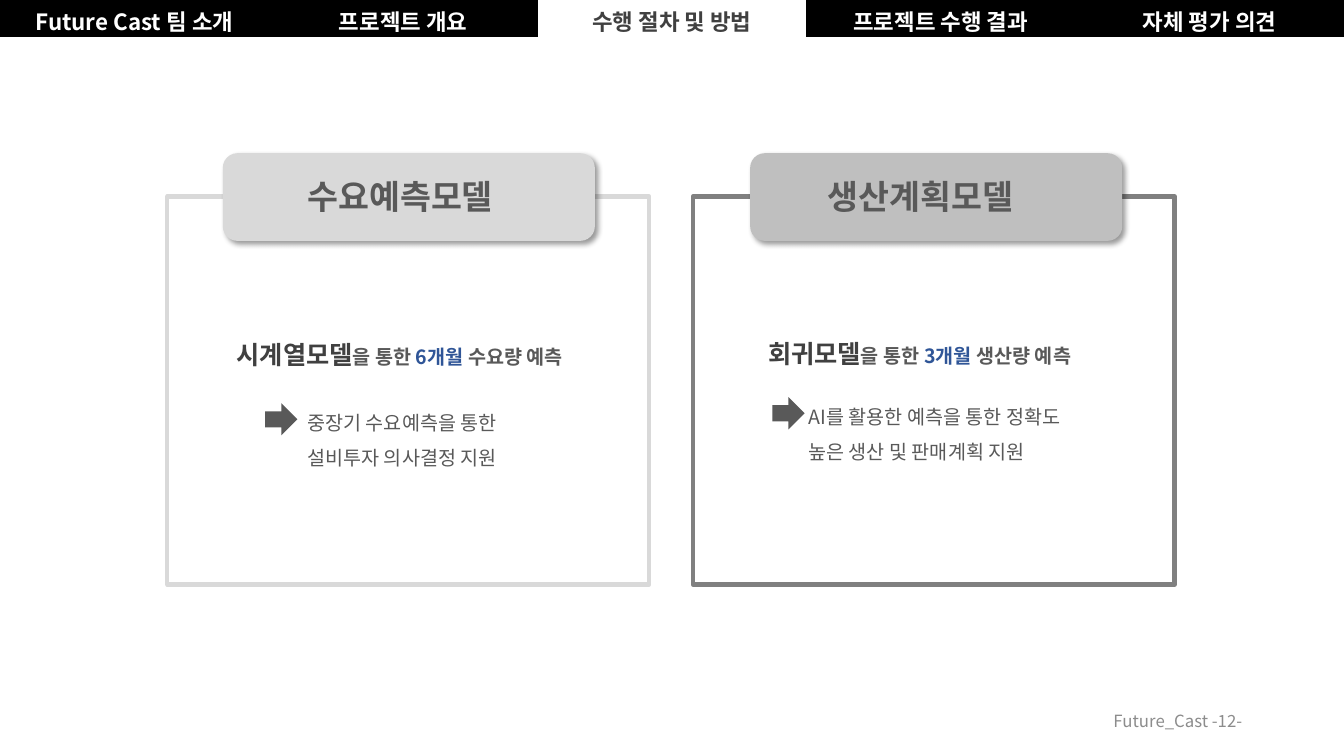
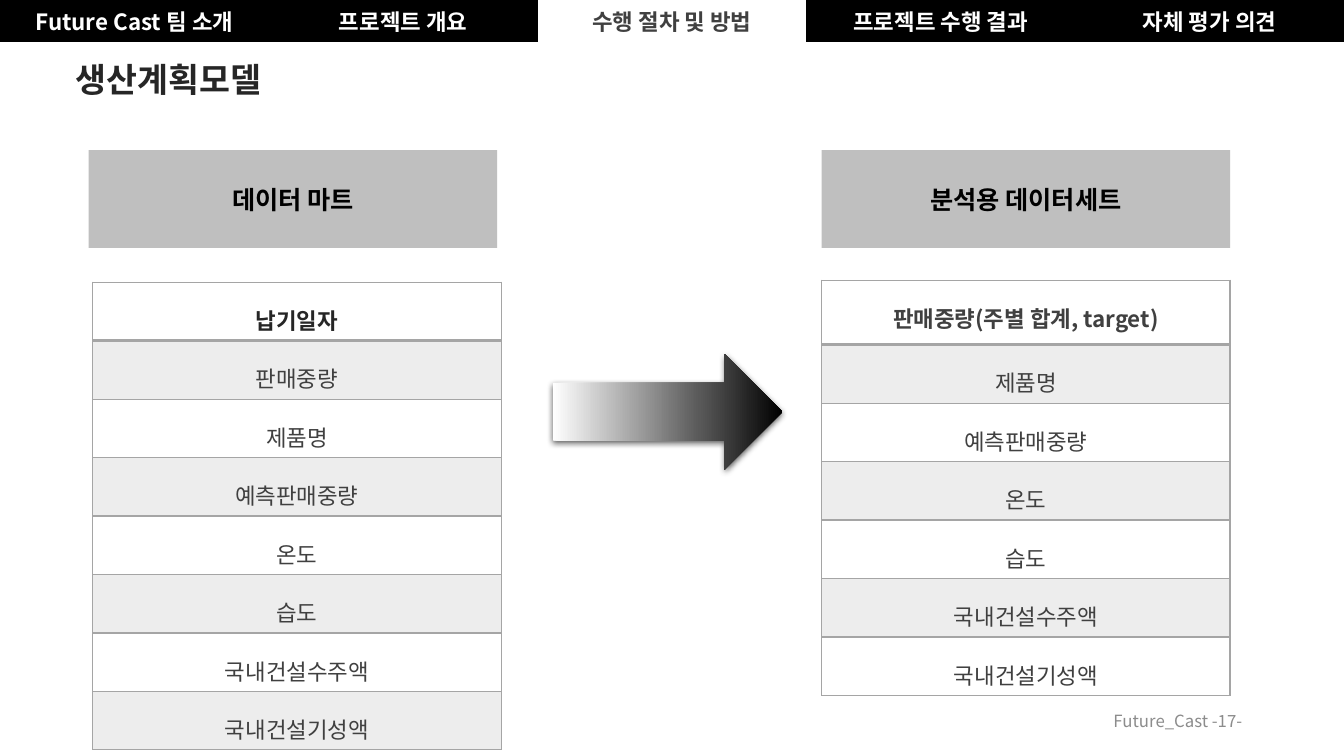
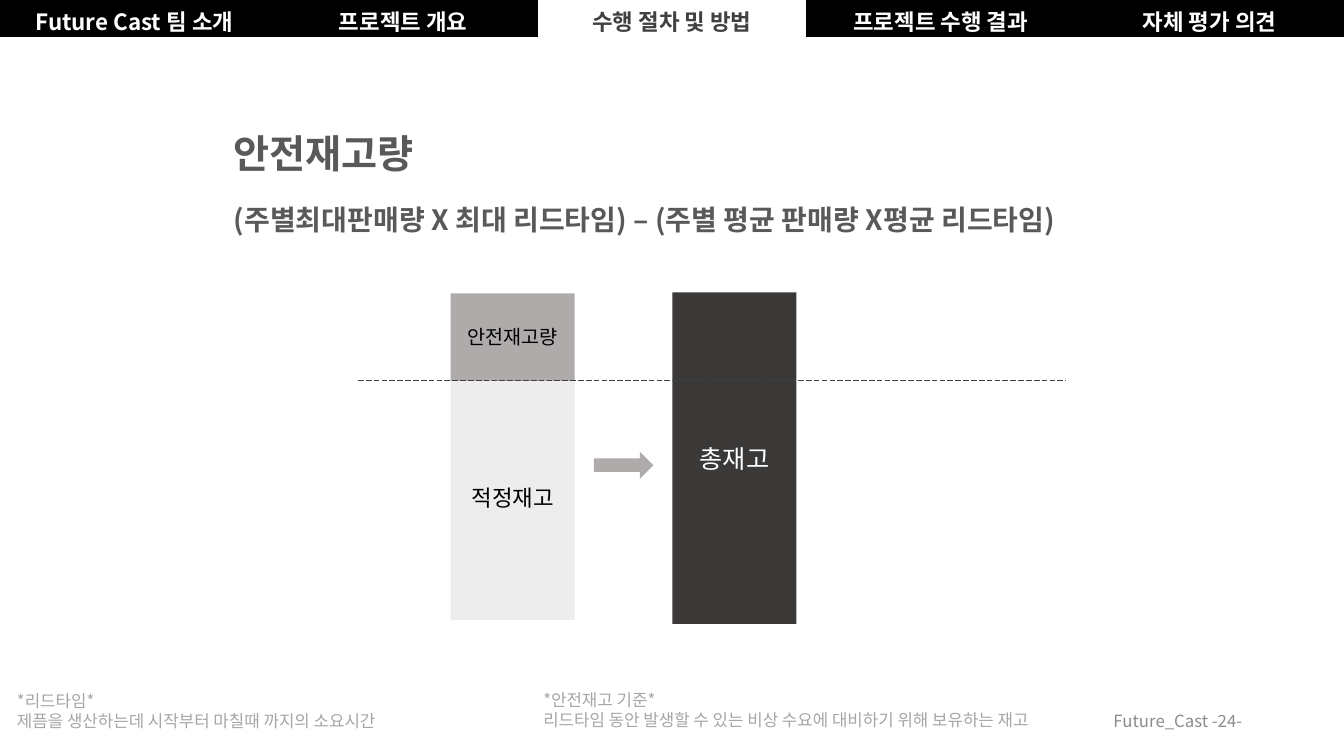
from copy import deepcopy

from lxml import etree
from pptx import Presentation
from pptx.dml.color import RGBColor
from pptx.enum import dml, shapes, text
from pptx.oxml import ns
from pptx.util import Emu, Pt

PX = 9144
FONT = "Noto Sans CJK KR"
NO_STYLE = "{2D5ABB26-0587-4C30-8999-92F81FD0307C}"
BLACK = RGBColor(0x00, 0x00, 0x00)
WHITE = RGBColor(0xFF, 0xFF, 0xFF)
INK = RGBColor(0x26, 0x26, 0x26)
DARK = RGBColor(0x40, 0x40, 0x40)
TOTAL = RGBColor(0x3B, 0x38, 0x38)
BODY = RGBColor(0x59, 0x59, 0x59)
FRAME = RGBColor(0x80, 0x80, 0x80)
FOOTER = RGBColor(0x8C, 0x8C, 0x8C)
NOTE = RGBColor(0xA6, 0xA6, 0xA6)
RULE = RGBColor(0xA5, 0xA5, 0xA5)
WARM = RGBColor(0xAF, 0xAB, 0xAB)
SILVER = RGBColor(0xBF, 0xBF, 0xBF)
LIGHT = RGBColor(0xD9, 0xD9, 0xD9)
PALE = RGBColor(0xED, 0xED, 0xED)
BLUE = RGBColor(0x2F, 0x55, 0x97)

ALIGN = text.PP_ALIGN
ANCHOR = text.MSO_ANCHOR
PRESET = shapes.MSO_SHAPE
SECTIONS = ["Future Cast 팀 소개", "프로젝트 개요", "수행 절차 및 방법",
            "프로젝트 수행 결과", "자체 평가 의견"]
CURRENT = "수행 절차 및 방법"


def px(*lengths):
    return [Emu(length * PX) for length in lengths]


def add_run(paragraph, words, size, color, bold=False):
    run = paragraph.add_run()
    run.text = words
    run.font.size = Pt(size)
    run.font.bold = bold
    run.font.color.rgb = color
    run.font.name = FONT
    east_asian = etree.SubElement(run.font._element, ns.qn("a:ea"))
    east_asian.set("typeface", FONT)


def add_text(slide, box, lines, align=ALIGN.LEFT, anchor=ANCHOR.TOP, spacing=None):
    frame = slide.shapes.add_textbox(*px(*box)).text_frame
    frame.word_wrap = True
    frame.vertical_anchor = anchor
    for index, runs in enumerate(lines):
        paragraph = frame.add_paragraph() if index else frame.paragraphs[0]
        paragraph.alignment = align
        paragraph.line_spacing = spacing
        for run in runs:
            add_run(paragraph, *run)


def add_block(slide, preset, box, fill=None, line=None, label=None):
    shape = slide.shapes.add_shape(preset, *px(*box))
    shape.shadow.inherit = False
    if fill is None:
        shape.fill.background()
    else:
        shape.fill.solid()
        shape.fill.fore_color.rgb = fill
    if line is None:
        shape.line.fill.background()
    else:
        shape.line.color.rgb = line
        shape.line.width = Pt(3)
    if label:
        shape.text_frame.vertical_anchor = ANCHOR.MIDDLE
        paragraph = shape.text_frame.paragraphs[0]
        paragraph.alignment = ALIGN.CENTER
        add_run(paragraph, *label)
    return shape


def add_shadow(shape, opacity, blur, distance, angle):
    effects = shape._element.spPr.find(ns.qn("a:effectLst"))
    shadow = etree.SubElement(effects, ns.qn("a:outerShdw"), blurRad=str(Pt(blur)),
                              dist=str(Pt(distance)), dir=str(angle * 60000),
                              algn="ctr", rotWithShape="0")
    color = etree.SubElement(shadow, ns.qn("a:srgbClr"), val=str(BLACK))
    etree.SubElement(color, ns.qn("a:alpha"), val=str(opacity * 1000))


def set_gradient(shape, stops):
    shape.fill.gradient()
    shape.fill.gradient_angle = 0
    stop_list = shape._element.spPr.find(".//" + ns.qn("a:gsLst"))
    while len(stop_list) < len(stops):
        stop_list.append(deepcopy(stop_list[0]))
    for stop, (position, color) in zip(shape.fill.gradient_stops, stops):
        stop.position = position
        stop.color.rgb = color


def add_dashed_line(slide, left, right, y):
    line = slide.shapes.add_connector(shapes.MSO_CONNECTOR.STRAIGHT, *px(left, y, right, y))
    etree.SubElement(line._element.spPr, ns.qn("a:effectLst"))
    line.line.color.rgb = DARK
    line.line.width = Pt(0.5)
    line.line.dash_style = dml.MSO_LINE.LONG_DASH


def add_plain_table(slide, box, rows, columns):
    frame = slide.shapes.add_table(rows, columns, *px(*box))
    table = frame.table
    table.first_row = False
    table.horz_banding = False
    table._tbl.tblPr.find(ns.qn("a:tableStyleId")).text = NO_STYLE
    return table


def fill_cell(cell, fill, *run, spacing=None):
    if fill is None:
        cell.fill.background()
    else:
        cell.fill.solid()
        cell.fill.fore_color.rgb = fill
    paragraph = cell.text_frame.paragraphs[0]
    paragraph.alignment = ALIGN.CENTER
    paragraph.line_spacing = spacing
    add_run(paragraph, *run)


def set_borders(cell, widths):
    properties = cell._tc.get_or_add_tcPr()
    for index, (side, width) in enumerate(widths.items()):
        line = etree.Element(ns.qn("a:" + side), w=str(Pt(width)))
        solid = etree.SubElement(line, ns.qn("a:solidFill"))
        etree.SubElement(solid, ns.qn("a:srgbClr"), val=str(RULE))
        properties.insert(index, line)


def add_field_table(slide, left, top, first_height, first_color, fields):
    row_height = 58
    height = first_height + row_height * (len(fields) - 1)
    table = add_plain_table(slide, (left, top, 405, height), len(fields), 1)
    for index, field in enumerate(fields):
        first = index == 0
        table.rows[index].height = Emu((first_height if first else row_height) * PX)
        cell = table.cell(index, 0)
        fill_cell(cell, PALE if index % 2 else None, field, 16,
                  first_color if first else DARK, first, spacing=1.5)
        set_borders(cell, {"lnL": 1, "lnR": 1, "lnT": 2 if index == 1 else 1,
                           "lnB": 2 if first else 1})


def add_navigation(slide, height):
    table = add_plain_table(slide, (0, 0, 1333, height), 1, len(SECTIONS))
    for cell, section in zip(table.rows[0].cells, SECTIONS):
        current = section == CURRENT
        cell.margin_bottom = 0
        fill_cell(cell, WHITE if current else BLACK, section, 16,
                  DARK if current else WHITE, True)


def add_page(presentation, number, navigation_height=37):
    slide = presentation.slides.add_slide(presentation.slide_layouts[6])
    add_navigation(slide, navigation_height)
    add_text(slide, (942, 695, 300, 40), [[(f"Future_Cast -{number}-", 12, FOOTER)]],
             ALIGN.RIGHT, ANCHOR.MIDDLE)
    return slide


def add_model_card(slide, left, color, frame_color, tab_left, title, title_left,
                   summary, summary_at, detail, detail_box):
    method, period, target = summary
    detail_left, detail_top, detail_width = detail_box
    add_block(slide, PRESET.RECTANGLE, (left, 195, 478, 385), line=frame_color)
    tab = add_block(slide, PRESET.ROUNDED_RECTANGLE, (tab_left, 152, 369, 87), color)
    add_shadow(tab, 40, 4, 3, 45)
    add_text(slide, (title_left, 170, 260, 50), [[(title, 24, BODY, True)]])
    add_text(slide, (*summary_at, 400, 40), [[
        (method, 18, DARK, True), ("을 통한 ", 14, BODY, True),
        (period, 14, BLUE, True), (target, 14, BODY, True)]])
    add_text(slide, (detail_left, detail_top, detail_width, 76),
             [[(detail, 14, BODY)]], spacing=1.5)


def build_models(presentation):
    slide = add_page(presentation, 12)
    add_model_card(slide, 166, LIGHT, LIGHT, 221, "수요예측모델", 295,
                   ("시계열모델", "6개월 ", "수요량 예측"), (225, 332),
                   "중장기 수요예측을 통한 설비투자 의사결정 지원", (295, 391, 274))
    add_model_card(slide, 687, SILVER, FRAME, 744, "생산계획모델", 811,
                   ("회귀모델", "3개월 ", "생산량 예측"), (752, 331),
                   "AI를 활용한 예측을 통한 정확도 높은 생산 및 판매계획 지원", (792, 385, 300))
    for left, top in [(263, 400), (766, 394)]:
        add_block(slide, PRESET.RIGHT_ARROW, (left, top, 32, 32), BODY)


def build_datasets(presentation):
    slide = add_page(presentation, 17, 42)
    add_text(slide, (65, 54, 260, 50), [[("생산계획모델", 24, INK, True)]])
    for left, heading in [(88, "데이터 마트"), (815, "분석용 데이터세트")]:
        add_block(slide, PRESET.RECTANGLE, (left, 149, 405, 97), SILVER,
                  label=(heading, 18, BLACK, True))
    shared = ["온도", "습도", "국내건설수주액", "국내건설기성액"]
    add_field_table(slide, 92, 280, 58, INK,
                    ["납기일자", "판매중량", "제품명", "예측판매중량", *shared])
    add_field_table(slide, 815, 278, 64, DARK,
                    ["판매중량(주별 합계, target)", "제품명", "예측판매중량", *shared])
    arrow = add_block(slide, PRESET.RIGHT_ARROW, (548, 351, 228, 115), WHITE)
    set_gradient(arrow, [(0, WHITE), (0.64, BODY), (1, BLACK)])
    add_shadow(arrow, 63, 4.5, 1.5, 90)


def build_safety_stock(presentation):
    slide = add_page(presentation, 24)
    add_text(slide, (222, 123, 260, 57), [[("안전재고량", 28, BODY, True)]])
    formula = "(주별최대판매량 X 최대 리드타임) – (주별 평균 판매량 X평균 리드타임)"
    add_text(slide, (222, 196, 1000, 44), [[(formula, 20, BODY, True)]])
    for left, top, height, fill, label in [
        (447, 373, 242, PALE, ("적정재고", 16, BLACK)),
        (667, 290, 329, TOTAL, ("총재고", 18, WHITE)),
        (447, 291, 87, WARM, ("안전재고량", 14, BLACK)),
    ]:
        add_block(slide, PRESET.RECTANGLE, (left, top, 123, height), fill, label=label)
    add_dashed_line(slide, 355, 1057, 377)
    add_block(slide, PRESET.RIGHT_ARROW, (589, 448, 59, 27), WARM)
    for left, top, term, meaning in [
        (529, 679, "*안전재고 기준*",
         "리드타임 동안 발생할 수 있는 비상 수요에 대비하기 위해 보유하는 재고"),
        (7, 680, "*리드타임*", "제픔을 생산하는데 시작부터 마칠때 까지의 소요시간"),
    ]:
        add_text(slide, (left, top, 563, 70), [[(term, 12, NOTE)], [(meaning, 12, NOTE)]])


def main():
    presentation = Presentation()
    presentation.slide_width, presentation.slide_height = px(1333, 750)
    build_models(presentation)
    build_datasets(presentation)
    build_safety_stock(presentation)
    presentation.save("out.pptx")


if __name__ == "__main__":
    main()
